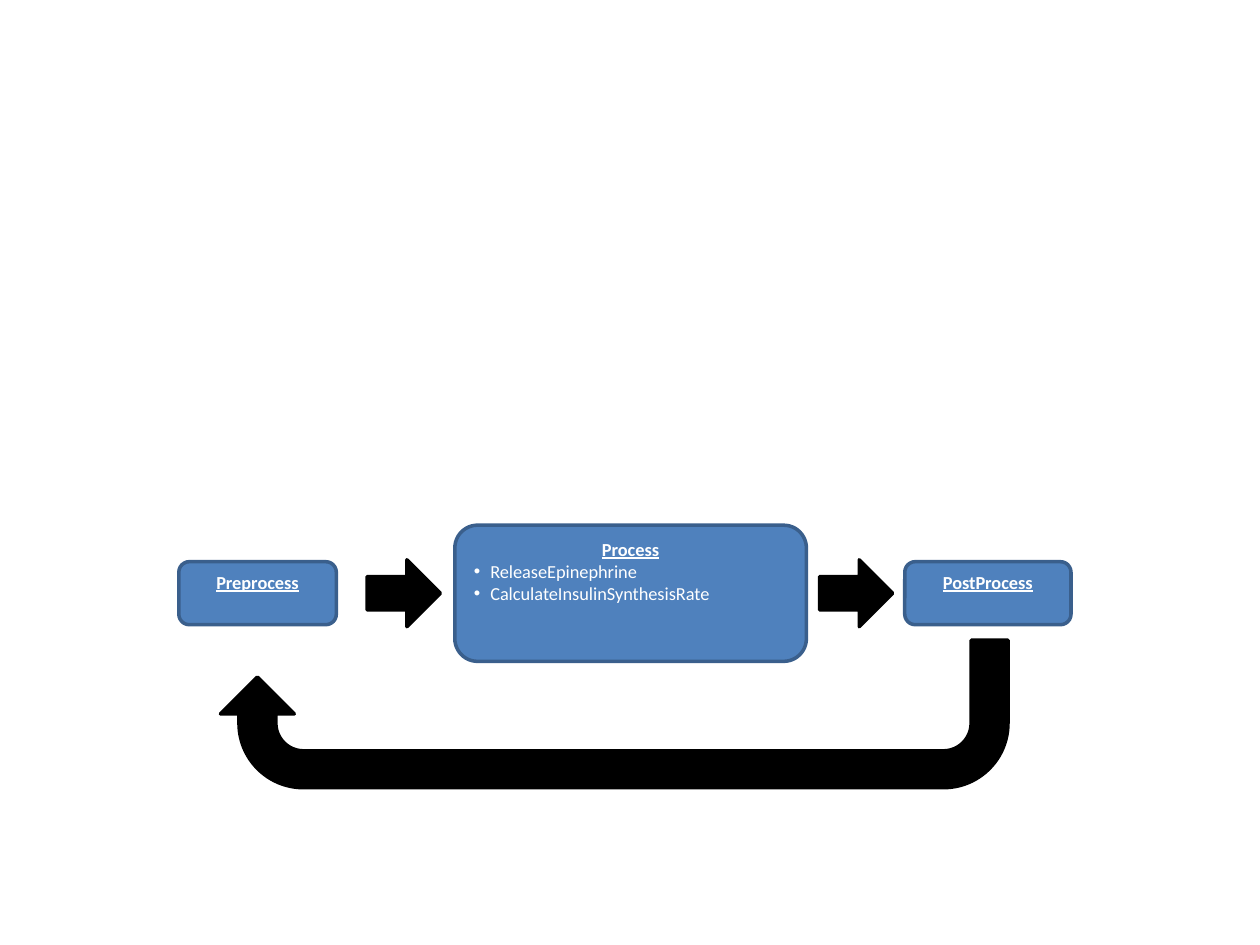
import pptx
import pptx.util
import pptx.dml.color
import pptx.enum.shapes
import pptx.enum.text
from lxml import etree

Pt = pptx.util.Pt
RGBColor = pptx.dml.color.RGBColor
MSO_SHAPE = pptx.enum.shapes.MSO_SHAPE
PP_ALIGN = pptx.enum.text.PP_ALIGN
MSO_ANCHOR = pptx.enum.text.MSO_ANCHOR

BLUE = RGBColor(0x4F, 0x81, 0xBD)
DARK_BLUE = RGBColor(0x3A, 0x5F, 0x8C)
BLACK = RGBColor(0, 0, 0)
WHITE = RGBColor(0xFF, 0xFF, 0xFF)

FONT = "Calibri"
TEXT_SIZE = 10.5
BULLET_INDENT = 9.4
ROW_MIDDLE = 339
ARROW_W, ARROW_H = 38.2, 41.8

STAGES = [
    ("Preprocess", [], 102.2, 90, 36),
    ("Process", ["ReleaseEpinephrine", "CalculateInsulinSynthesisRate"],
     259.9, 200.9, 77.8),
    ("PostProcess", [], 517, 95, 36),
]
STEP_ARROW_CENTRES = [230.7, 489.2]
RETURN_ARROW = (126, 365.8, 450, 84.3)


def add_block(s, kind, box, fill, line, rotation=0):
    sp = s.shapes.add_shape(kind, *[Pt(v) for v in box])
    sp.rotation = rotation
    sp.shadow.inherit = False
    sp.fill.solid()
    sp.fill.fore_color.rgb = fill
    sp.line.color.rgb = line
    sp.line.width = Pt(2)
    return sp


def format_text(p, heading):
    p.alignment = PP_ALIGN.CENTER if heading else PP_ALIGN.LEFT
    for r in p.runs:
        r.font.name = FONT
        r.font.size = Pt(TEXT_SIZE)
        r.font.color.rgb = WHITE
        r.font.bold = heading
        r.font.underline = heading


def add_bullet(p):
    pPr = p._p.get_or_add_pPr()
    pPr.set("marL", str(Pt(BULLET_INDENT)))
    pPr.set("indent", str(-Pt(BULLET_INDENT)))
    ns = pptx.oxml.ns.qn
    etree.SubElement(pPr, ns("a:buFont")).set("typeface", "Arial")
    etree.SubElement(pPr, ns("a:buChar")).set("char", "•")


def add_stage(s, heading, steps, left, width, height):
    box = (left, ROW_MIDDLE - height / 2, width, height)
    sp = add_block(s, MSO_SHAPE.ROUNDED_RECTANGLE, box, BLUE, DARK_BLUE)
    tf = sp.text_frame
    tf.word_wrap = True
    tf.vertical_anchor = MSO_ANCHOR.TOP
    tf.text = "\n".join([heading] + steps)
    for i, p in enumerate(tf.paragraphs):
        format_text(p, heading=i == 0)
        if i > 0:
            add_bullet(p)


def main():
    prs = pptx.Presentation()
    prs.slide_width, prs.slide_height = Pt(720), Pt(540)
    s = prs.slides.add_slide(prs.slide_layouts[6])
    for stage in STAGES:
        add_stage(s, *stage)
    for centre in STEP_ARROW_CENTRES:
        box = (centre - ARROW_W / 2, ROW_MIDDLE - ARROW_H / 2, ARROW_W, ARROW_H)
        add_block(s, MSO_SHAPE.DOWN_ARROW, box, BLACK, BLACK, 270)
    add_block(s, MSO_SHAPE.U_TURN_ARROW, RETURN_ARROW, BLACK, BLACK, 180)
    prs.save("out.pptx")


if __name__ == "__main__":
    main()
